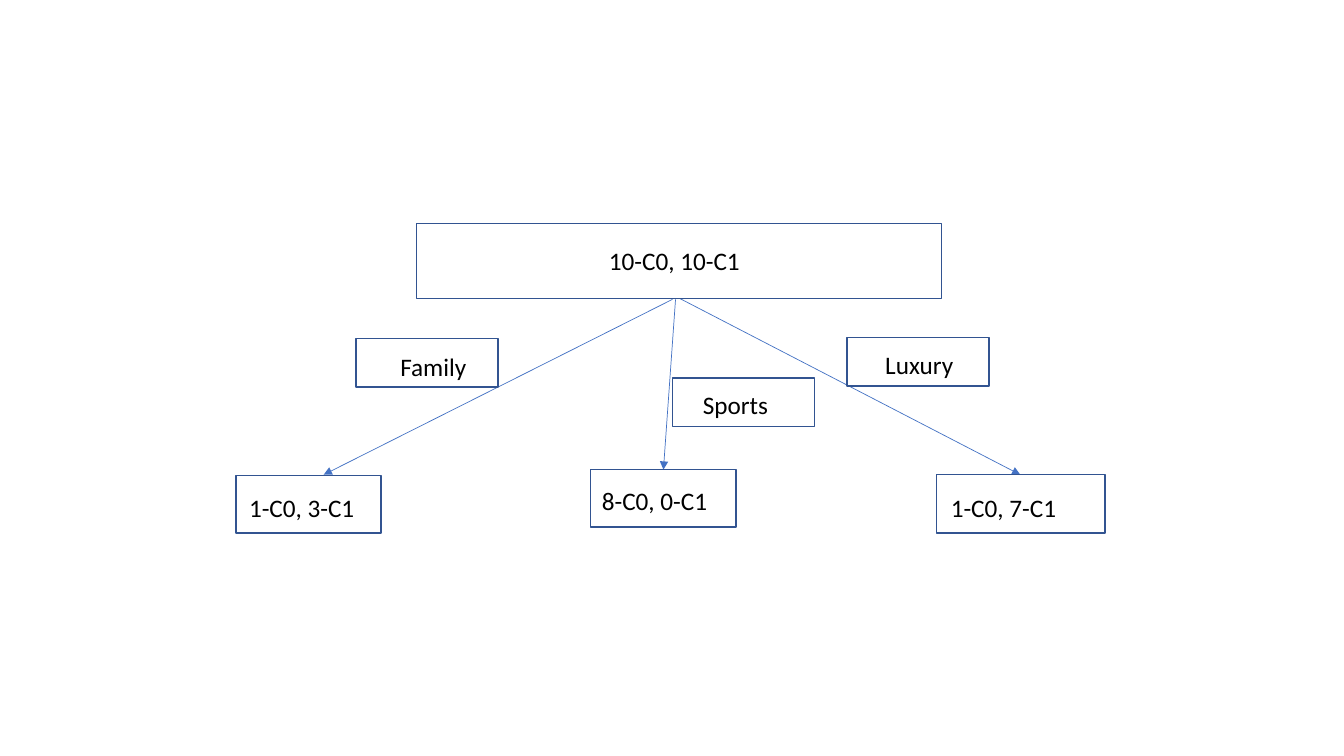
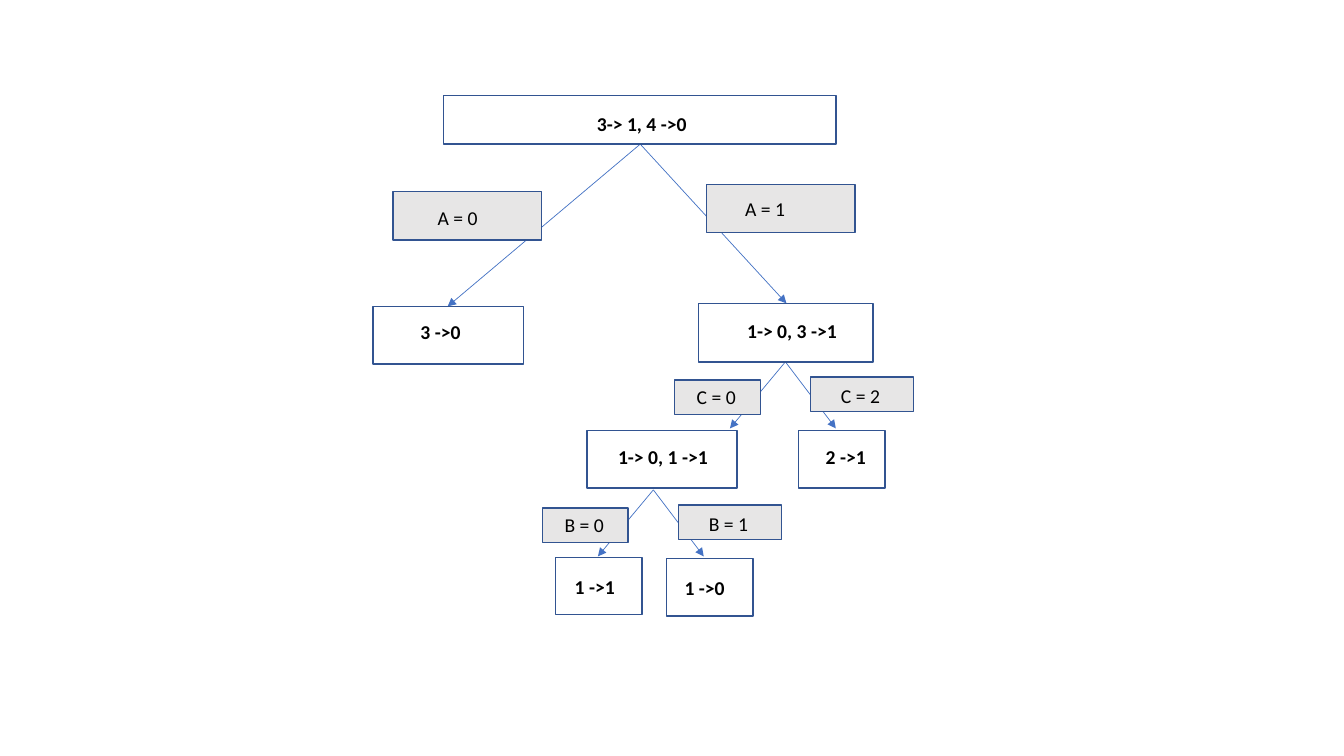
from pptx import Presentation
from pptx.dml.color import RGBColor
from pptx.enum.shapes import MSO_CONNECTOR, MSO_SHAPE
from pptx.enum.text import MSO_ANCHOR, PP_ALIGN
from pptx.oxml.ns import qn
from pptx.util import Inches, Pt
from lxml import etree

RECT = MSO_SHAPE.RECTANGLE
STRAIGHT = MSO_CONNECTOR.STRAIGHT
LEFT = PP_ALIGN.LEFT
TOP = MSO_ANCHOR.TOP

WHITE = RGBColor(0xFF, 0xFF, 0xFF)
BLACK = RGBColor(0x00, 0x00, 0x00)
GREY = RGBColor(0xE7, 0xE6, 0xE6)
BORDER = RGBColor(0x32, 0x54, 0x91)
ARROW = RGBColor(0x44, 0x72, 0xC4)
FONT = "Calibri"


def add_box(s, box, text, inset, size, bold=False, fill=WHITE):
    """Bordered box; inset is the left and top distance to its text."""
    sp = s.shapes.add_shape(RECT, *(Inches(v) for v in box))
    sp.shadow.inherit = False
    sp.fill.solid()
    sp.fill.fore_color.rgb = fill
    sp.line.color.rgb = BORDER
    sp.line.width = Pt(1)
    tf = sp.text_frame
    tf.word_wrap = True
    tf.vertical_anchor = TOP
    tf.margin_left, tf.margin_top = (Inches(v) for v in inset)
    tf.margin_right = tf.margin_bottom = 0
    p = tf.paragraphs[0]
    p.alignment = LEFT
    r = p.add_run()
    r.text = text
    r.font.name = FONT
    r.font.size = Pt(size)
    r.font.bold = bold
    r.font.color.rgb = BLACK


def add_arrow(s, start, end):
    cx = s.shapes.add_connector(STRAIGHT, *(Inches(v) for v in start + end))
    cx.line.color.rgb = ARROW
    cx.line.width = Pt(0.5)
    etree.SubElement(cx.line._get_or_add_ln(), qn("a:tailEnd"), type="triangle")
    etree.SubElement(cx._element.spPr, qn("a:effectLst"))


def small_split(s, x, y, left_text, right_text):
    """Two short labelled branches below the point (x, y)."""
    add_arrow(s, (x, y), (x - 0.55, y + 0.66))
    add_arrow(s, (x, y), (x + 0.5, y + 0.66))
    add_box(s, (x - 1.1, y + 0.18, 0.85, 0.34), left_text, (0.22, 0.05), 14, fill=GREY)
    add_box(s, (x + 0.25, y + 0.15, 1.02, 0.34), right_text, (0.3, 0.07), 14, fill=GREY)


def car_type_slide(prs):
    s = prs.slides.add_slide(prs.slide_layouts[6])
    # Branches
    for start, end in [((6.67, 2.97), (3.21, 4.71)),
                       ((6.7, 2.97), (6.58, 4.66)),
                       ((6.74, 2.96), (10.12, 4.71))]:
        add_arrow(s, start, end)
    # Root, branch labels, leaves
    for box, text, inset in [
            ((4.13, 2.22, 5.21, 0.74), "10-C0, 10-C1", (1.91, 0.21)),
            ((3.53, 3.36, 1.41, 0.48), "Family", (0.44, 0.13)),
            ((6.67, 3.75, 1.41, 0.48), "Sports", (0.3, 0.11)),
            ((8.4, 3.35, 1.41, 0.48), "Luxury", (0.38, 0.12)),
            ((2.34, 4.72, 1.44, 0.57), "1-C0, 3-C1", (0.13, 0.16)),
            ((5.86, 4.66, 1.44, 0.57), "8-C0, 0-C1", (0.11, 0.16)),
            ((9.29, 4.71, 1.67, 0.58), "1-C0, 7-C1", (0.14, 0.17))]:
        add_box(s, box, text, inset, 18)


def attribute_slide(prs):
    s = prs.slides.add_slide(prs.slide_layouts[6])
    # Split on A
    for end in [(4.44, 3.04), (7.8, 3.01)]:
        add_arrow(s, (6.35, 1.43), end)
    add_box(s, (3.9, 1.9, 1.47, 0.48), "A = 0", (0.44, 0.14), 14, fill=GREY)
    add_box(s, (7.01, 1.83, 1.47, 0.48), "A = 1", (0.38, 0.12), 14, fill=GREY)
    # Splits on C and B
    small_split(s, 7.79, 3.59, "C = 0", "C = 2")
    small_split(s, 6.48, 4.86, "B = 0", "B = 1")
    # Nodes
    for box, text, inset in [
            ((4.4, 0.95, 3.89, 0.48), "3-> 1, 4 ->0", (1.52, 0.16)),
            ((3.7, 3.04, 1.49, 0.57), "3 ->0", (0.47, 0.13)),
            ((6.93, 3.01, 1.73, 0.58), "1-> 0, 3 ->1", (0.48, 0.15)),
            ((5.82, 4.27, 1.49, 0.57), "1-> 0, 1 ->1", (0.31, 0.14)),
            ((7.92, 4.27, 0.86, 0.57), "2 ->1", (0.27, 0.14)),
            ((5.51, 5.53, 0.86, 0.57), "1 ->1", (0.19, 0.17)),
            ((6.61, 5.54, 0.86, 0.57), "1 ->0", (0.18, 0.17))]:
        add_box(s, box, text, inset, 14, bold=True)


prs = Presentation()
prs.slide_width = Inches(13.33)
prs.slide_height = Inches(7.5)
car_type_slide(prs)
attribute_slide(prs)
prs.save("out.pptx")
